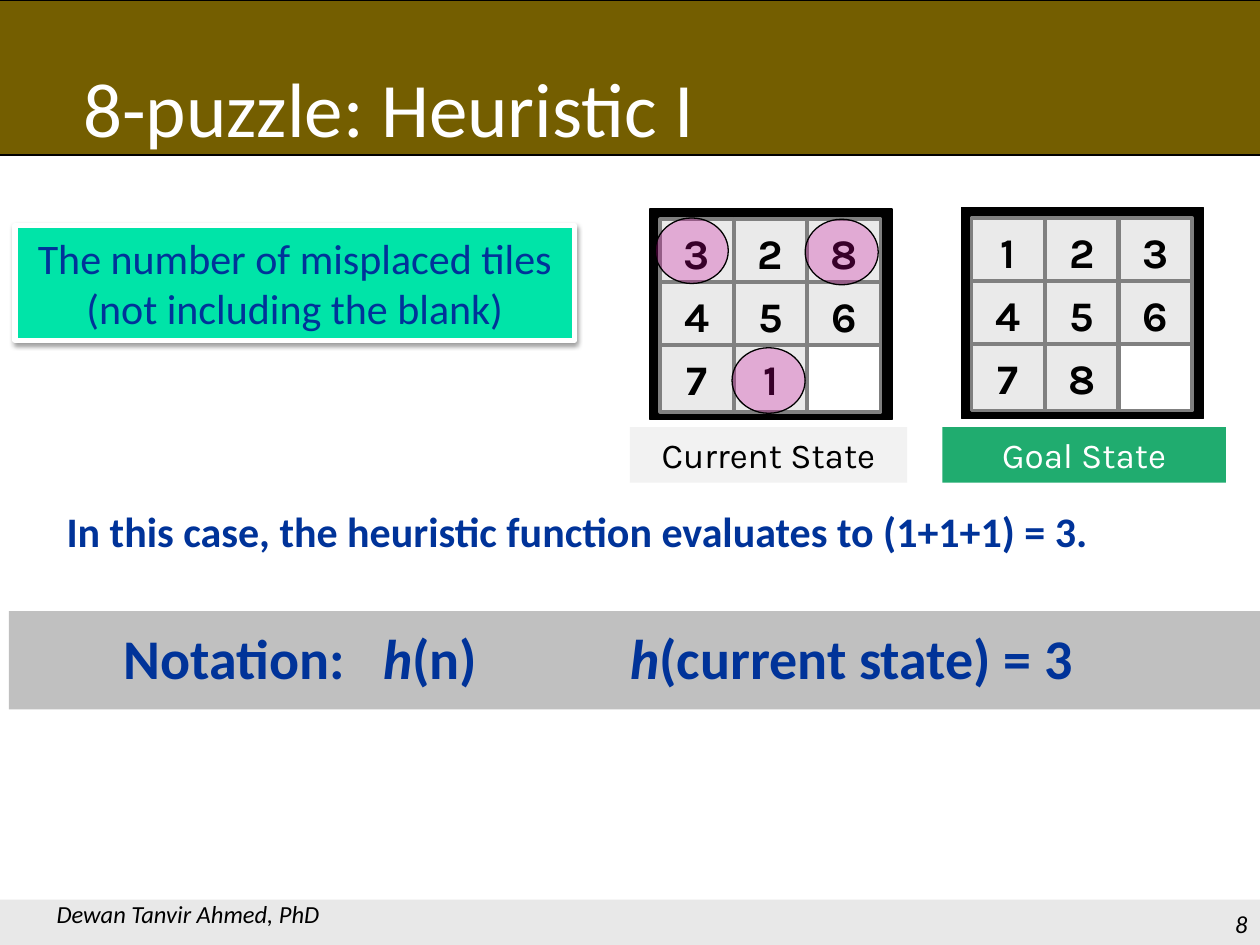
import pptx
import pptx.util
import pptx.dml.color
import pptx.enum.shapes
import pptx.enum.text
import pptx.oxml
import pptx.oxml.ns
import lxml.etree
from dataclasses import dataclass

Inches = pptx.util.Inches
Pt = pptx.util.Pt
Shape = pptx.enum.shapes.MSO_SHAPE
Align = pptx.enum.text.PP_ALIGN
Anchor = pptx.enum.text.MSO_ANCHOR


@dataclass(frozen=True)
class Theme:
    body_font: str = "Calibri"
    puzzle_font: str = "Karla"
    black: str = "000000"
    white: str = "FFFFFF"
    navy: str = "003399"
    olive: str = "745E00"
    mint: str = "00E4A8"
    green: str = "20AC6F"
    magenta: str = "CC0099"
    tile: str = "EAEAEA"
    tile_edge: str = "808080"
    footer: str = "E8E8E8"
    notation: str = "C0C0C0"
    caption: str = "F2F2F2"
    title_size: int = 44
    notation_size: int = 32
    body_size: int = 24
    caption_size: int = 20
    footer_size: int = 14


class SlideBuilder:
    def __init__(self, slide, theme):
        self.slide = slide
        self.theme = theme

    def sub(self, parent, tag, **attributes):
        """Append a drawing element such as a:alpha."""
        element = lxml.etree.SubElement(parent, pptx.oxml.ns.qn(tag))
        for name, value in attributes.items():
            element.set(name, str(value))
        return element

    def style(self, frame, size, color, font=None, bold=False, italic=False,
              align=Align.LEFT, anchor=Anchor.TOP):
        frame.vertical_anchor = anchor
        for para in frame.paragraphs:
            para.alignment = align
            for span in para.runs:
                span.font.name = font or self.theme.body_font
                span.font.size = Pt(size)
                span.font.bold = bold
                span.font.italic = italic
                span.font.color.rgb = pptx.dml.color.RGBColor.from_string(color)

    def title(self, text, left, top, width, height):
        title = self.slide.shapes.title
        title.left, title.top = Inches(left), Inches(top)
        title.width, title.height = Inches(width), Inches(height)
        title.text_frame.text = text
        self.style(title.text_frame, self.theme.title_size, self.theme.white,
                   anchor=Anchor.BOTTOM)
        # Bring the title in front of the header band
        tree = title.element.getparent()
        tree.append(title.element)

    def shape(self, kind, left, top, width, height, fill, line=None,
              line_width=0.75, opacity=None, parent=None):
        shapes = (parent or self.slide).shapes
        shape = shapes.add_shape(kind, Inches(left), Inches(top),
                                 Inches(width), Inches(height))
        shape.shadow.inherit = False
        shape.fill.solid()
        shape.fill.fore_color.rgb = pptx.dml.color.RGBColor.from_string(fill)
        if opacity is not None:
            color = shape.element.spPr.find(".//" + pptx.oxml.ns.qn("a:srgbClr"))
            self.sub(color, "a:alpha", val=opacity * 1000)
        if line:
            shape.line.color.rgb = pptx.dml.color.RGBColor.from_string(line)
            shape.line.width = Pt(line_width)
        else:
            shape.line.fill.background()
        return shape

    def label(self, shape, text, size, color, **style):
        shape.text_frame.text = text
        shape.text_frame.word_wrap = True
        self.style(shape.text_frame, size, color, align=Align.CENTER,
                   anchor=Anchor.MIDDLE, **style)

    def text(self, text, left, top, width, height, size, color, **style):
        box = self.slide.shapes.add_textbox(Inches(left), Inches(top),
                                            Inches(width), Inches(height))
        box.text_frame.word_wrap = True
        box.text_frame.text = text
        self.style(box.text_frame, size, color, **style)
        return box

    def drop_shadow(self, shape):
        effects = shape.element.spPr.find(pptx.oxml.ns.qn("a:effectLst"))
        shadow = self.sub(effects, "a:outerShdw", blurRad=Pt(3.1), dist=Pt(1.6),
                          dir=90 * 60000, rotWithShape=0)
        color = self.sub(shadow, "a:srgbClr", val=self.theme.black)
        self.sub(color, "a:alpha", val=38000)

    def notation(self, spans, stops, left, top, width, height):
        """One line of (text, italic) spans set on tab stops."""
        theme = self.theme
        box = self.text("", left, top, width, height, theme.notation_size, theme.navy)
        para = box.text_frame.paragraphs[0]
        for text, _ in spans:
            para.add_run().text = text
        self.style(box.text_frame, theme.notation_size, theme.navy, bold=True)
        for span, (_, italic) in zip(para.runs, spans):
            span.font.italic = italic
        tabs = self.sub(para._p.get_or_add_pPr(), "a:tabLst")
        for stop in stops:
            self.sub(tabs, "a:tab", pos=Inches(stop), algn="l")

    def puzzle(self, rows, left, top):
        """Black frame with a 3 by 3 grid of tiles; a space is the blank."""
        theme = self.theme
        group = self.slide.shapes.add_group_shape()
        self.shape(Shape.RECTANGLE, left, top, 1.92, 1.67, theme.black,
                   theme.black, parent=group)
        for row, digits in enumerate(rows):
            for column, digit in enumerate(digits):
                blank = digit == " "
                tile = self.shape(
                    Shape.RECTANGLE, left + 0.08 + column * 0.585,
                    top + 0.08 + row * 0.5, 0.58, 0.53,
                    theme.white if blank else theme.tile,
                    theme.tile_edge, 2, parent=group)
                if not blank:
                    self.label(tile, digit, theme.body_size, theme.black,
                               font=theme.puzzle_font, bold=True)

    def caption(self, text, left, width, fill, color):
        box = self.shape(Shape.RECTANGLE, left, 3.39, width, 0.44, fill)
        self.label(box, text, self.theme.caption_size, color,
                   font=self.theme.puzzle_font)


def main():
    deck = pptx.Presentation()
    deck.slide_width, deck.slide_height = Inches(10), Inches(7.5)
    theme = Theme()
    page = SlideBuilder(deck.slides.add_slide(deck.slide_layouts[5]), theme)

    # Bands and title
    page.shape(Shape.RECTANGLE, 0, 7.14, 10, 0.36, theme.footer)
    page.shape(Shape.RECTANGLE, -0.2, 0, 10.39, 1.23, theme.olive, theme.black)
    page.shape(Shape.RECTANGLE, 0.07, 4.85, 10, 0.78, theme.notation)
    page.title("8-puzzle: Heuristic I", 0.56, 0.44, 8.45, 0.82)

    # Definition and its value
    definition = page.shape(Shape.RECTANGLE, 0.12, 1.79, 4.44, 0.91,
                            theme.mint, theme.white, 3)
    page.drop_shadow(definition)
    page.label(definition, "The number of misplaced tiles (not including the blank)",
               theme.body_size, theme.navy)
    page.text("In this case, the heuristic function evaluates to (1+1+1) = 3.",
              0.43, 3.96, 8.94, 0.5, theme.body_size, theme.navy, bold=True)
    page.notation([("Notation:\t", False), ("h", True), ("(n)\t", False),
                   ("h", True), ("(current state) = 3", False)],
                  (2.06, 4.02), 0.88, 4.9, 8.33, 0.64)

    # Puzzle states, with the misplaced tiles ringed
    page.puzzle(("328", "456", "71 "), 5.16, 1.66)
    page.puzzle(("123", "456", "78 "), 7.63, 1.65)
    page.caption("Goal State", 7.48, 2.25, theme.green, theme.white)
    for left, top in ((5.2, 1.73), (6.39, 1.74), (5.81, 2.76)):
        page.shape(Shape.OVAL, left, top, 0.58, 0.52, theme.magenta,
                   theme.black, opacity=27)
    page.caption("Current State", 5, 2.2, theme.caption, theme.black)

    # Footer
    page.text("Dewan Tanvir Ahmed, PhD", 0.35, 6.92, 8.42, 0.5, theme.footer_size,
              theme.black, italic=True, anchor=Anchor.BOTTOM)
    page.text("8", 7.92, 7, 2.08, 0.5, theme.footer_size, theme.black,
              italic=True, align=Align.RIGHT, anchor=Anchor.BOTTOM)

    deck.save("out.pptx")


if __name__ == "__main__":
    main()
